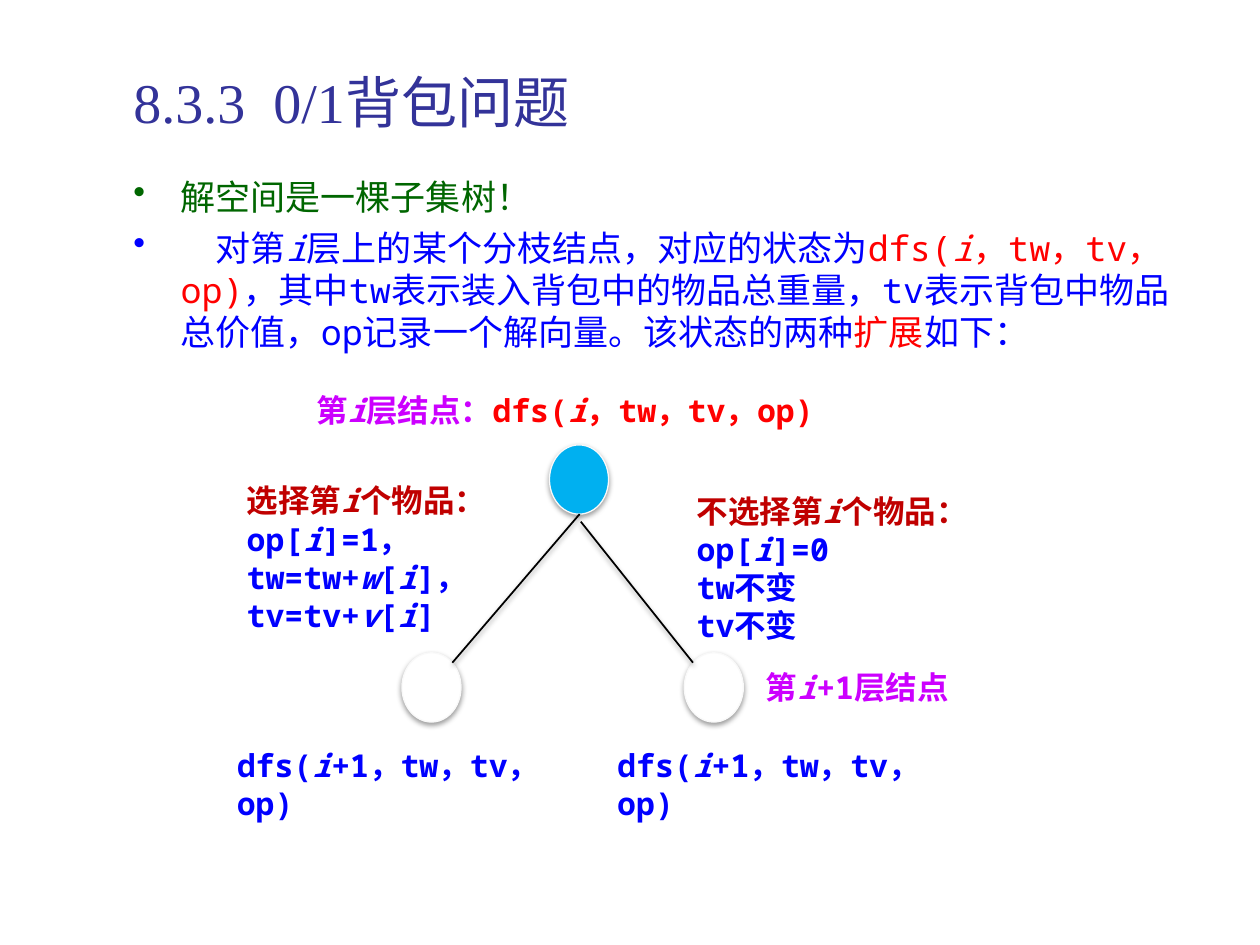
from dataclasses import dataclass

from lxml.etree import SubElement
from pptx import Presentation
from pptx.dml.color import RGBColor
from pptx.enum.shapes import MSO_CONNECTOR, MSO_SHAPE
from pptx.enum.text import MSO_ANCHOR
from pptx.oxml.ns import qn
from pptx.util import Pt


@dataclass(frozen=True)
class Theme:
    title: str = "333399"
    green: str = "006600"
    blue: str = "0000FF"
    red: str = "FF0000"
    dark_red: str = "C00000"
    purple: str = "CC00FF"
    cyan: str = "00B0F0"
    white: str = "FFFFFF"
    rim: str = "F9F9F9"
    black: str = "000000"
    title_size: int = 32
    body_size: int = 20
    label_size: int = 18
    serif: str = "Times New Roman"
    sans: str = "Noto Sans CJK SC"
    mono: str = "Noto Sans Mono"


T = Theme()
LABEL = {"size": Pt(T.label_size), "name": T.mono, "bold": True}
BODY = {"size": Pt(T.body_size), "name": T.mono}
NODE_W, NODE_H = 33.8, 39.6


def set_attrs(obj, values):
    for name, value in values.items():
        setattr(obj, name, value)


def add_runs(p, parts, font):
    for text, color in parts:
        for n, piece in enumerate(text.split("*")):
            if not piece:
                continue
            r = p.add_run()
            r.text = piece
            set_attrs(r.font, {**font, "italic": n % 2 == 1})
            r.font.color.rgb = RGBColor.from_string(color)
            rPr = r._r.get_or_add_rPr()
            rPr.set("lang", "zh-CN")
            SubElement(rPr, qn("a:ea"), typeface=T.sans)


def add_text(shapes, box, paragraphs, font, spacing=None, anchor=MSO_ANCHOR.TOP):
    tf = shapes.add_textbox(*map(Pt, box)).text_frame
    set_attrs(tf, {"word_wrap": True, "vertical_anchor": anchor})
    for n, parts in enumerate(paragraphs):
        p = tf.add_paragraph() if n else tf.paragraphs[0]
        if spacing:
            p.line_spacing = Pt(spacing)
        add_runs(p, parts, font)
    return tf


def add_label(shapes, left, top, width, height, *paragraphs):
    add_text(shapes, (left, top, width, height), paragraphs, LABEL, 21.8)


def add_bullet(p):
    pPr = p._p.get_or_add_pPr()
    pPr.set("marL", str(Pt(27)))
    pPr.set("indent", str(Pt(-27)))
    SubElement(pPr, qn("a:buChar"), char="•")


def add_shadow(sp):
    effects = SubElement(sp._element.spPr, qn("a:effectLst"))
    shadow = SubElement(effects, qn("a:outerShdw"), blurRad=str(Pt(3.1)),
                        dist=str(Pt(1.6)), dir="5400000", rotWithShape="0")
    color = SubElement(shadow, qn("a:srgbClr"), val=T.black)
    SubElement(color, qn("a:alpha"), val="38000")


def add_node(shapes, left, top, fill):
    sp = shapes.add_shape(MSO_SHAPE.OVAL, *map(Pt, (left, top, NODE_W, NODE_H)))
    sp.fill.solid()
    sp.fill.fore_color.rgb = RGBColor.from_string(fill)
    sp.line.color.rgb = RGBColor.from_string(T.rim)
    sp.line.width = Pt(0.75)
    add_shadow(sp)


def add_edge(shapes, *ends):
    sp = shapes.add_connector(MSO_CONNECTOR.STRAIGHT, *map(Pt, ends))
    sp.line.color.rgb = RGBColor.from_string(T.black)
    sp.line.width = Pt(1)
    add_shadow(sp)


def add_branch(s, node_left, edge, state_left):
    shapes = s.shapes.add_group_shape().shapes
    add_node(shapes, node_left, 373, T.white)
    add_edge(shapes, *edge)
    add_label(shapes, state_left, 422.6, 202.3, 28.8,
              [("dfs(*i*+1，tw，tv，op)", T.blue)])
    return shapes


def add_body(s):
    tf = add_text(s.shapes, (69.1, 88.6, 617.8, 294.5), [
        [("解空间是一棵子集树！", T.green)],
        [("\u3000对第*i*层上的某个分枝结点，对应的状态为".replace("\u3000", "　"), T.blue),
         ("dfs(*i*，tw，tv，op)", T.red),
         ("，其中tw表示装入背包中的物品总重量，tv表示背包中物品总价值，"
          "op记录一个解向量。该状态的两种", T.blue),
         ("扩展", T.red), ("如下：", T.blue)],
    ], BODY, 24.2)
    first, second = tf.paragraphs
    first.line_spacing = Pt(32)
    second.space_before = Pt(4.8)
    for r in first.runs:
        r.font.name = T.sans
    for p in tf.paragraphs:
        add_bullet(p)


def main():
    prs = Presentation()
    set_attrs(prs, {"slide_width": Pt(720), "slide_height": Pt(540)})
    s = prs.slides.add_slide(prs.slide_layouts[6])

    add_body(s)
    add_text(s.shapes, (69.1, 21.6, 619.9, 72.7),
             [[("8.3.3  0/1背包问题", T.title)]],
             {"size": Pt(T.title_size), "name": T.serif}, anchor=MSO_ANCHOR.MIDDLE)
    add_node(s.shapes, 314, 254.2, T.cyan)
    add_label(s.shapes, 173.5, 219.6, 315.4, 28.8,
              [("第*i*层结点：", T.purple), ("dfs(*i*，tw，tv，op)", T.red)])

    left = add_branch(s, 229.7, (331.2, 293.8, 258.5, 378.7), 128.2)
    add_label(left, 133.9, 271.4, 168.5, 94.3,
              [("选择第*i*个物品：", T.dark_red),
               ("op[*i*]=1， tw=tw+*w*[*i*]，tv=tv+*v*[*i*]", T.blue)])

    right = add_branch(s, 391, (331.9, 298.1, 396, 378.7), 345.6)
    add_label(right, 391, 277.2, 163.4, 94.3,
              [("不选择第*i*个物品：", T.dark_red), ("op[*i*]=0", T.blue)],
              [("tw不变", T.blue)], [("tv不变", T.blue)])
    add_label(right, 430.6, 378, 168.5, 28.8, [("第*i*+1层结点", T.purple)])

    prs.save("out.pptx")


if __name__ == "__main__":
    main()
